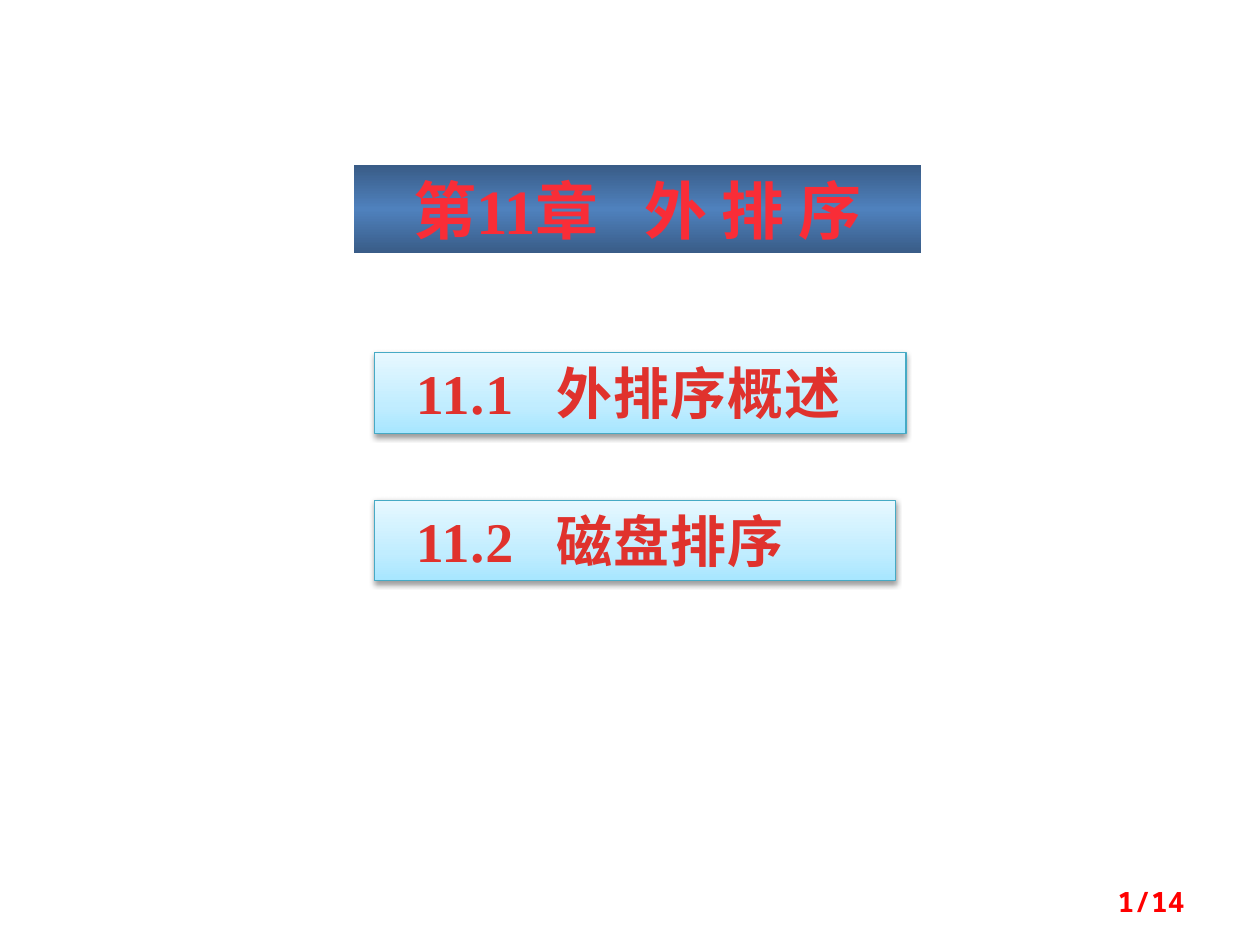
from dataclasses import dataclass

from lxml.etree import SubElement
from pptx import Presentation
from pptx.dml.color import RGBColor
from pptx.enum.shapes import MSO_SHAPE
from pptx.enum.text import MSO_ANCHOR, MSO_AUTO_SIZE, PP_ALIGN
from pptx.oxml.ns import qn
from pptx.util import Inches, Pt


@dataclass(frozen=True)
class Theme:
    font: str = "Times New Roman"
    mono: str = "Noto Sans Mono"
    title_size: int = 36
    section_size: int = 32
    page_size: int = 16
    title_color: str = "F92D37"
    page_color: str = "FF0000"
    border: str = "46AAC5"
    shadow: str = "000000"
    title_fill: tuple = ((0, "395C87"), (50, "4F81BD"), (100, "395C87"))
    section_fill: tuple = ((0, "A7E6FF"), (35, "C1EDFF"), (100, "E7F8FF"))
    section_text: tuple = ((25, "E0322D"), (100, "A2201C"))


THEME = Theme()


def add_node(parent, tag, **attrs):
    return SubElement(parent, qn(tag), {k: str(v) for k, v in attrs.items()})


def set_gradient(fill, element, stops, angle):
    fill.gradient()
    fill.gradient_angle = angle
    gs_list = element.find(".//" + qn("a:gsLst"))
    for gs in list(gs_list):
        gs_list.remove(gs)
    for position, color in stops:
        gs = add_node(gs_list, "a:gs", pos=position * 1000)
        add_node(gs, "a:srgbClr", val=color)


def set_font(r, name, size, color=None):
    r.font.name = name
    r.font.size = Pt(size)
    r.font.bold = True
    if color:
        r.font.color.rgb = RGBColor.from_string(color)


def set_spacing(r, points):
    r.font._element.set("spc", str(int(points * 100)))


def add_shadow(sp):
    effects = sp._element.spPr.find(qn("a:effectLst"))
    shadow = add_node(effects, "a:outerShdw", blurRad=Pt(3.1), dist=Pt(1.6),
                      dir=90 * 60000, rotWithShape=0)
    color = add_node(shadow, "a:srgbClr", val=THEME.shadow)
    add_node(color, "a:alpha", val=38000)


def add_bar(s, left, top, width, height, stops, angle):
    sp = s.shapes.add_shape(MSO_SHAPE.RECTANGLE, Inches(left), Inches(top),
                            Inches(width), Inches(height))
    sp.shadow.inherit = False
    set_gradient(sp.fill, sp._element.spPr, stops, angle)
    sp.line.fill.background()
    tf = sp.text_frame
    tf.word_wrap = True
    tf.auto_size = MSO_AUTO_SIZE.SHAPE_TO_FIT_TEXT
    tf.vertical_anchor = MSO_ANCHOR.TOP
    return sp


def add_title(s, chapter, name):
    sp = add_bar(s, 2.81, 1.31, 4.5, 0.7, THEME.title_fill, 270)
    p = sp.text_frame.paragraphs[0]
    p.alignment = PP_ALIGN.CENTER
    for text, spacing in ((chapter, 0), (" ", 18), (name, 0)):
        r = p.add_run()
        r.text = text
        set_font(r, THEME.font, THEME.title_size, THEME.title_color)
        set_spacing(r, spacing)


def add_section(s, top, width, number, name):
    sp = add_bar(s, 2.97, top, width, 0.64, THEME.section_fill, 90)
    sp.line.color.rgb = RGBColor.from_string(THEME.border)
    sp.line.width = Pt(0.75)
    add_shadow(sp)
    tf = sp.text_frame
    tf.margin_left = Inches(0.33)
    p = tf.paragraphs[0]
    tabs = add_node(p._p.get_or_add_pPr(), "a:tabLst")
    add_node(tabs, "a:tab", pos=Inches(1.12), algn="l")
    p.alignment = PP_ALIGN.LEFT
    r = p.add_run()
    r.text = f"{number}\t{name}"
    set_font(r, THEME.font, THEME.section_size)
    set_gradient(r.font.fill, r.font._element, THEME.section_text, 270)
    set_spacing(r, 0.5)


def add_page_number(s, text):
    box = s.shapes.add_textbox(Inches(7.17), Inches(6.95), Inches(2.33), Inches(0.4))
    tf = box.text_frame
    tf.word_wrap = True
    tf.vertical_anchor = MSO_ANCHOR.MIDDLE
    tf.text = text
    p = tf.paragraphs[0]
    p.alignment = PP_ALIGN.RIGHT
    set_font(p.runs[0], THEME.mono, THEME.page_size, THEME.page_color)


def main():
    prs = Presentation()
    prs.slide_width, prs.slide_height = Inches(10), Inches(7.5)
    s = prs.slides.add_slide(prs.slide_layouts[6])
    add_title(s, "第11章", "外 排 序")
    add_section(s, 2.8, 4.22, "11.1", "外排序概述")
    add_section(s, 3.97, 4.14, "11.2", "磁盘排序")
    add_page_number(s, "1/14")
    prs.save("out.pptx")


if __name__ == "__main__":
    main()
